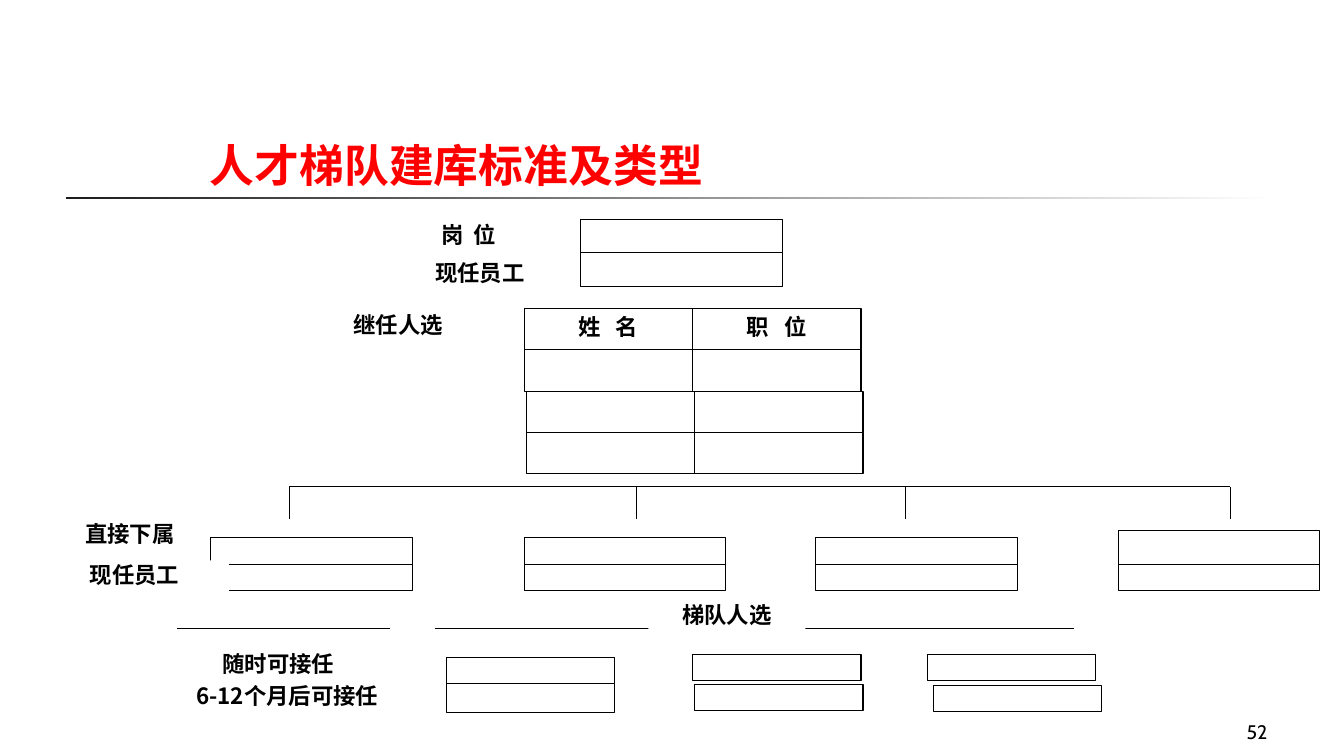
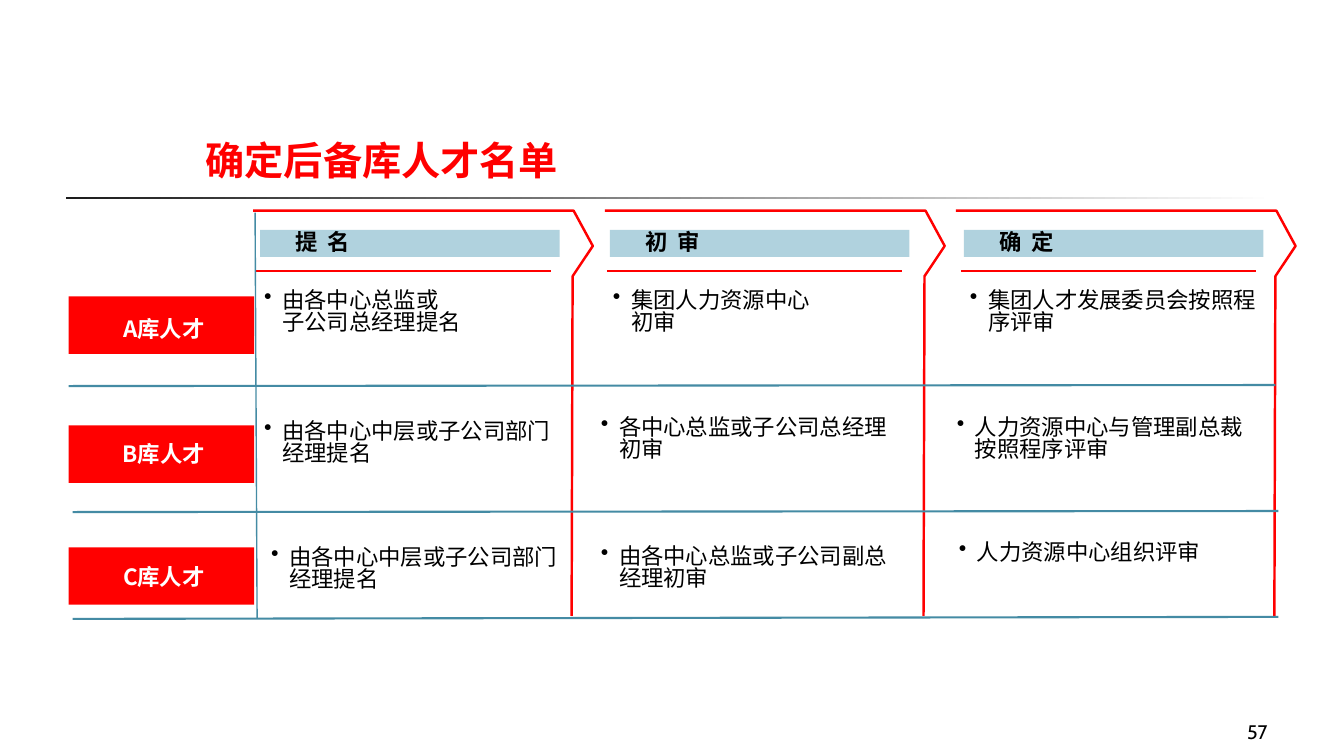
from dataclasses import dataclass

from lxml.etree import SubElement
from pptx import Presentation
from pptx.dml.color import RGBColor
from pptx.enum.shapes import MSO_CONNECTOR, MSO_SHAPE
from pptx.enum.text import MSO_ANCHOR as Anchor, MSO_AUTO_SIZE, PP_ALIGN as Align
from pptx.oxml.ns import qn
from pptx.util import Pt

PX = 9144  # 100 px to the inch


@dataclass(frozen=True)
class Theme:
    font: str = "Noto Sans CJK SC"
    number_font: str = "Cabin"
    black: str = "000000"
    white: str = "FFFFFF"
    red: str = "FF0000"
    charcoal: str = "1C1C1C"
    pale_blue: str = "B0D2DE"
    teal: str = "448BA4"
    body: int = 16
    number: int = 14
    leading: float = 0.84


theme = Theme()


def draw(page, at, kind="box", fill=None, line=None, weight=0.75):
    """Add a box, a text box or a line; a line takes its two end points as at."""
    lengths = [value * PX for value in at]
    if kind == "text":
        return page.shapes.add_textbox(*lengths)
    if kind == "line":
        shape = page.shapes.add_connector(MSO_CONNECTOR.STRAIGHT, *lengths)
    else:
        shape = page.shapes.add_shape(MSO_SHAPE.RECTANGLE, *lengths)
        shape.shadow.inherit = False
        if fill:
            shape.fill.solid()
            shape.fill.fore_color.rgb = RGBColor.from_string(fill)
        else:
            shape.fill.background()
    if line:
        shape.line.color.rgb = RGBColor.from_string(line)
        shape.line.width = Pt(weight)
    else:
        shape.line.fill.background()
    if kind == "line":
        SubElement(shape._element.spPr, qn("a:effectLst"))
    return shape


def write(shape, text, size=theme.body, color=theme.black, bold=False, font=theme.font,
          align=Align.LEFT, anchor=Anchor.MIDDLE, insets=(0, 0, 0, 0),
          leading=theme.leading, tracking=0, hanging=0):
    """Fill a shape, one paragraph a line; hanging (px) puts a bullet on the first."""
    frame = shape.text_frame
    frame.word_wrap = True
    frame.auto_size = MSO_AUTO_SIZE.NONE
    frame.vertical_anchor = anchor
    frame.margin_left, frame.margin_top, frame.margin_right, frame.margin_bottom = (
        inset * PX for inset in insets)
    for index, words in enumerate(text.split("\n")):
        para = frame.add_paragraph() if index else frame.paragraphs[0]
        para.alignment = align
        para.line_spacing = leading
        if hanging:
            properties = para._p.get_or_add_pPr()
            properties.set("marL", str(hanging * PX))
            properties.set("indent", str(0 if index else -hanging * PX))
            if index == 0:
                SubElement(properties, qn("a:buChar"), char="•")
        span = para.add_run()
        span.text = words
        span.font.size = Pt(size)
        span.font.bold = bold
        span.font.color.rgb = RGBColor.from_string(color)
        span.font.name = font
        run_properties = span._r.get_or_add_rPr()
        SubElement(run_properties, qn("a:ea"), typeface=font)
        if tracking:
            run_properties.set("spc", str(tracking))


deck = Presentation()
deck.slide_width, deck.slide_height = 1333 * PX, 750 * PX
layout = deck.slide_layouts[5]

# Titles and page numbers
pages = []
for title, size, title_at, number in (
    ("人才梯队建库标准及类型", 32, (198, 131, 767, 64), "52"),
    ("确定后备库人才名单", 28, (194, 115, 797, 72), "57"),
):
    page = deck.slides.add_slide(layout)
    heading = page.shapes.title
    heading.left, heading.top, heading.width, heading.height = (v * PX for v in title_at)
    write(heading, title, size=size, color=theme.red, bold=True,
          anchor=Anchor.BOTTOM, insets=(10, 5, 10, 5))
    write(draw(page, (989, 692, 278, 50), "text"), number, size=theme.number,
          font=theme.number_font, align=Align.RIGHT, anchor=Anchor.BOTTOM,
          insets=(10, 5, 10, 5), leading=1)
    pages.append(page)
chart_page, list_page = pages

# Gradient rule under the title, shared through the layout
band = draw(chart_page, (65, 195, 1199, 3), fill=theme.charcoal)
band.fill.gradient()
band.fill.gradient_angle = 0
for stop, color in zip(band.fill.gradient_stops, (theme.charcoal, theme.white)):
    stop.color.rgb = RGBColor.from_string(color)
layout.shapes._spTree.append(band._element)

# Succession chart: stacks of empty boxes
for left, top, width, heights in (
    (576, 218, 200, (33, 33)),
    (520, 347, 167, (41,)), (687, 347, 167, (41,)),
    (522, 388, 167, (41, 41)), (689, 388, 167, (41, 41)),
    (209, 533, 200, (27, 26)), (520, 533, 200, (27, 26)),
    (809, 533, 200, (27, 26)), (1109, 526, 200, (34, 26)),
    (443, 652, 167, (26, 29)),
    (687, 649, 167, (26,)), (689, 679, 167, (26,)),
    (920, 649, 167, (26,)), (926, 680, 167, (26,)),
):
    for height in heights:
        draw(chart_page, (left, top, width, height), line=theme.black)
        top += height

for left, text in ((520, "姓 名"), (687, "职 位")):
    header = draw(chart_page, (left, 306, 167, 41), line=theme.black)
    write(header, text, bold=True, align=Align.CENTER, tracking=360)

branches = (287, 631, 898, 1220)
drops = [(x, 483, x, 515) for x in branches]
for ends in [(branches[0], 483, branches[-1], 483), *drops,
             (431, 624, 1065, 624), (176, 624, 387, 624)]:
    draw(chart_page, ends, "line", line=theme.black)

for text, at, tracking in (
    ("岗 位", (404, 218, 122, 33), 180),
    ("现任员工", (398, 260, 156, 25), 0),
    ("继任人选", (317, 308, 156, 33), 0),
    ("直接下属", (51, 515, 156, 33), 0),
    ("现任员工", (40, 556, 187, 33), 0),
    ("梯队人选", (643, 599, 156, 25), 0),
    ("随时可接任", (198, 644, 156, 33), 0),
    ("6-12个月后可接任", (175, 676, 220, 33), 0),
):
    write(draw(chart_page, at, fill=theme.white), text, bold=True,
          align=Align.CENTER, tracking=tracking)

# Talent list: one arrow outline, heading and underline per step
for left, bar_left, rule_left, text in (
    (251, 258, 254, "提 名"),
    (600, 605, 602, "初 审"),
    (948, 956, 953, "确 定"),
):
    builder = list_page.shapes.build_freeform(left, 209, scale=PX)
    builder.add_line_segments(
        [(left + 318, 209), (left + 337, 244), (left + 317, 274), (left + 316, 611)],
        close=False)
    outline = builder.convert_to_shape()
    outline.shadow.inherit = False
    outline.fill.background()
    outline.line.color.rgb = RGBColor.from_string(theme.red)
    outline.line.width = Pt(1.75)
    bar = draw(list_page, (bar_left, 228, 297, 27), fill=theme.pale_blue)
    write(bar, text, bold=True, insets=(35, 0, 0, 0), tracking=180)
    draw(list_page, (rule_left, 269, rule_left + 293, 269), "line",
         line=theme.red, weight=1.75)

for text, top, text_top in (("A库人才", 294, 315), ("B库人才", 422, 439), ("C库人才", 543, 561)):
    draw(list_page, (68, top, 184, 57), fill=theme.red)
    write(draw(list_page, (82, text_top, 161, 27), "text"), text,
          color=theme.white, bold=True, align=Align.CENTER)

for left, top, text in (
    (262, 288, "由各中心总监或\n子公司总经理提名"),
    (608, 288, "集团人力资源中心\n初审"),
    (962, 288, "集团人才发展委员会按照程序评审"),
    (262, 418, "由各中心中层或子公司部门经理提名"),
    (596, 414, "各中心总监或子公司总经理初审"),
    (949, 414, "人力资源中心与管理副总裁按照程序评审"),
    (269, 543, "由各中心中层或子公司部门经理提名"),
    (596, 542, "由各中心总监或子公司副总经理初审"),
    (951, 538, "人力资源中心组织评审"),
):
    write(draw(list_page, (left, top, 303, 54), "text"), text,
          anchor=Anchor.TOP, hanging=18)

for ends, weight in (
    ((68, 383, 1265, 382), 1.5),
    ((72, 508, 1268, 507), 1.5),
    ((72, 614, 1268, 612), 1.5),
    ((253, 211, 255, 614), 1),
):
    draw(list_page, ends, "line", line=theme.teal, weight=weight)

deck.save("out.pptx")
